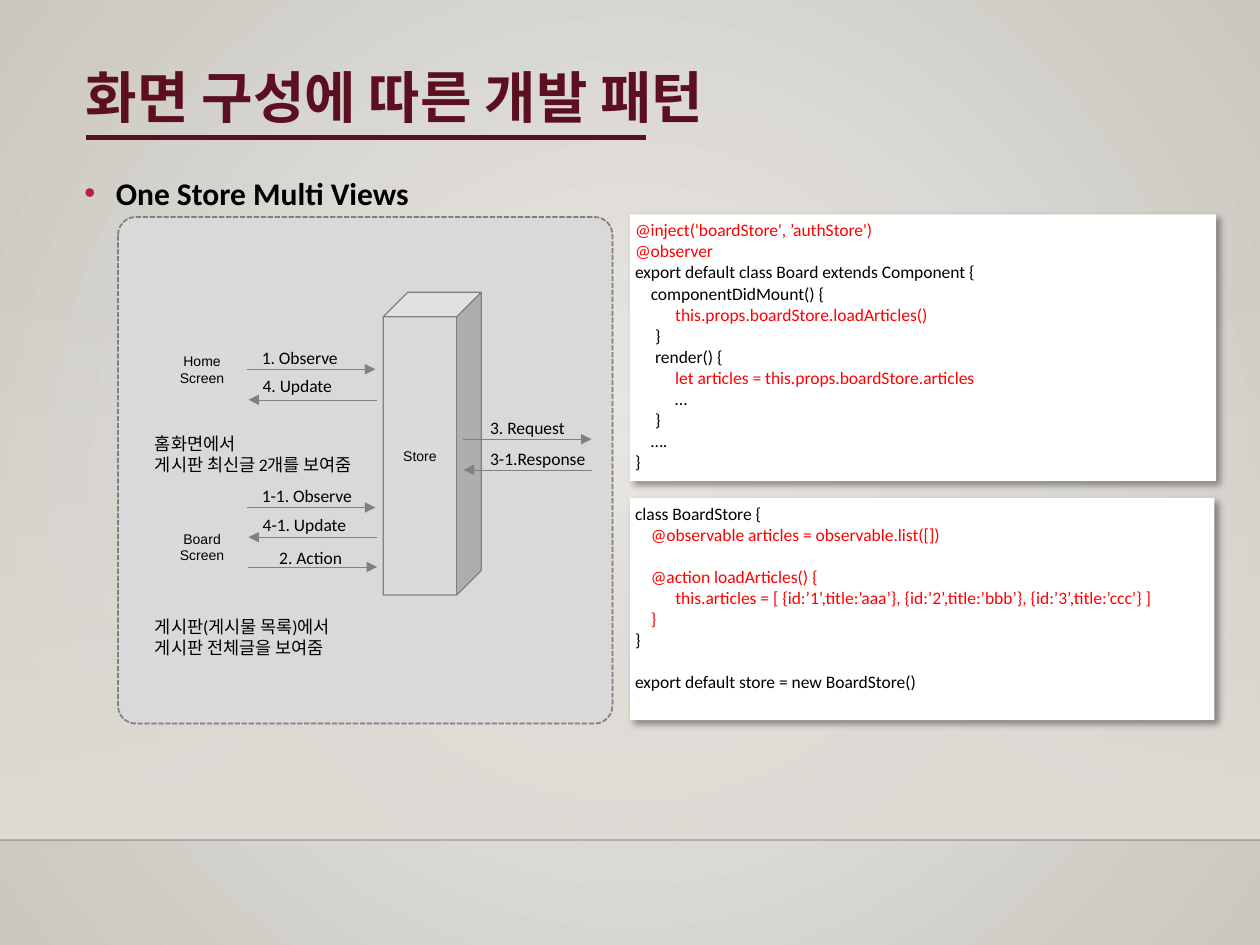
from dataclasses import dataclass
from typing import Any

from lxml import etree
from pptx import Presentation
from pptx.dml.color import RGBColor
from pptx.enum.dml import MSO_LINE
from pptx.enum.shapes import MSO_CONNECTOR, MSO_SHAPE
from pptx.enum.text import MSO_ANCHOR, MSO_AUTO_SIZE, PP_ALIGN
from pptx.oxml.ns import qn
from pptx.util import Pt

STRAIGHT = MSO_CONNECTOR.STRAIGHT
RECTANGLE, ROUNDED, CUBE = MSO_SHAPE.RECTANGLE, MSO_SHAPE.ROUNDED_RECTANGLE, MSO_SHAPE.CUBE
TOP, MIDDLE = MSO_ANCHOR.TOP, MSO_ANCHOR.MIDDLE
LEFT, CENTER = PP_ALIGN.LEFT, PP_ALIGN.CENTER
FIT_SHAPE, NO_FIT = MSO_AUTO_SIZE.SHAPE_TO_FIT_TEXT, MSO_AUTO_SIZE.NONE
DASHED = MSO_LINE.SQUARE_DOT
RIGHT_SIDE = 3

COLORS = {
    "title": "5C0F21", "bullet": "B71E42", "text": "000000", "code": "FF0000",
    "panel": "D9D9D9", "node": "DADADA", "line": "808080", "paper": "FFFFFF",
    "center": "ECEAE7", "edge": "CAC7C1", "wall": "DFDBD5", "floor": "000001",
}
MARGINS = ("margin_left", "margin_top", "margin_right", "margin_bottom")
NO_MARGINS = dict.fromkeys(MARGINS, 0)
NODE_FRAME = {**NO_MARGINS, "vertical_anchor": MIDDLE, "word_wrap": False}
CODE_FRAME = {**dict.fromkeys(MARGINS, Pt(2.9)), "vertical_anchor": TOP, "word_wrap": False}
LABEL_FRAME = {"word_wrap": False, "auto_size": FIT_SHAPE}
TITLE_FRAME = {**NO_MARGINS, "vertical_anchor": MIDDLE, "auto_size": NO_FIT}
BODY_FRAME = {"vertical_anchor": TOP, "auto_size": NO_FIT}


@dataclass
class Box:
    left: float
    top: float
    width: float
    height: float

    def lengths(self) -> tuple:
        return Pt(self.left), Pt(self.top), Pt(self.width), Pt(self.height)


@dataclass
class Label:
    text: str
    box: Box
    space_after: float = 0


@dataclass
class Arrow:
    left: float
    top: float
    rightward: bool
    source: Any = None


@dataclass
class CodeLine:
    text: str
    indent: float = 0
    color: str = "text"
    space_before: float = 0


def rgb(name: str) -> RGBColor:
    return RGBColor.from_string(COLORS[name])


def apply_format(target: Any, values: dict) -> None:
    for name, value in values.items():
        setattr(target, name, value)


def format_font(paragraph: Any, size: float, name: str = "Calibri", color: str = "text", bold: bool = False) -> None:
    apply_format(paragraph.font, {"size": Pt(size), "name": name, "bold": bold})
    paragraph.font.color.rgb = rgb(color)


def add_child(parent: Any, tag: str, **attributes: str) -> Any:
    return etree.SubElement(parent, qn(tag), attributes)


def set_alpha(element: Any, percent: int) -> None:
    add_child(next(element.iter(qn("a:srgbClr"))), "a:alpha", val=str(percent * 1000))


def set_gradient(fill: Any, first: str, last: str) -> None:
    fill.gradient()
    for stop, color, position in zip(fill.gradient_stops, (first, last), (0, 1)):
        stop.color.rgb = rgb(color)
        stop.position = position


def add_block(kind: Any, box: Box, fill: str, line: str = "", width: float = 1) -> Any:
    shape = slide.shapes.add_shape(kind, *box.lengths())
    shape.shadow.inherit = False
    shape.fill.solid()
    shape.fill.fore_color.rgb = rgb(fill)
    if line:
        shape.line.color.rgb = rgb(line)
        shape.line.width = Pt(width)
    else:
        shape.line.fill.background()
    return shape


def add_node(kind: Any, text: str, box: Box, line: str = "") -> Any:
    shape = add_block(kind, box, "node", line, 0.75)
    apply_format(shape.text_frame, NODE_FRAME)
    paragraph = shape.text_frame.paragraphs[0]
    paragraph.text = text
    paragraph.alignment = CENTER
    format_font(paragraph, 8, "Arial")
    return shape


def add_line(start: tuple, end: tuple, color: str, width: float) -> Any:
    connector = slide.shapes.add_connector(STRAIGHT, *(Pt(value) for value in start + end))
    connector.line.color.rgb = rgb(color)
    connector.line.width = Pt(width)
    add_child(connector.element.spPr, "a:effectLst")
    return connector


def add_arrow(arrow: Arrow) -> None:
    ends = [(arrow.left, arrow.top), (arrow.left + 73.5, arrow.top)]
    start, end = ends if arrow.rightward else reversed(ends)
    connector = add_line(start, end, "line", 0.25)
    add_child(connector.element.spPr.find(qn("a:ln")), "a:tailEnd", type="triangle")
    if arrow.source is not None:
        connector.begin_connect(arrow.source, RIGHT_SIDE)


def add_label(label: Label) -> None:
    frame = slide.shapes.add_textbox(*label.box.lengths()).text_frame
    apply_format(frame, LABEL_FRAME)
    frame.text = label.text
    for paragraph in frame.paragraphs:
        paragraph.space_after = Pt(label.space_after)
        format_font(paragraph, 10)


def add_code(box: Box, lines: list[CodeLine]) -> None:
    shape = add_block(RECTANGLE, box, "paper")
    shadow = add_child(shape.element.spPr.find(qn("a:effectLst")), "a:outerShdw", blurRad=str(Pt(4)),
                       dist=str(Pt(3)), dir="2700000", algn="tl", rotWithShape="0")
    add_child(shadow, "a:srgbClr", val=COLORS["text"])
    set_alpha(shadow, 40)
    apply_format(shape.text_frame, CODE_FRAME)
    shape.text_frame.text = "\n".join(line.text for line in lines)
    for paragraph, line in zip(shape.text_frame.paragraphs, lines):
        apply_format(paragraph, {"alignment": LEFT, "space_before": Pt(line.space_before)})
        paragraph._p.get_or_add_pPr().set("marL", str(Pt(line.indent)))
        format_font(paragraph, 10, color=line.color)


presentation = Presentation()
apply_format(presentation, {"slide_width": Pt(720), "slide_height": Pt(540)})
slide = presentation.slides.add_slide(presentation.slide_layouts[1])

set_gradient(slide.background.fill, "center", "edge")
gradient = next(slide.element.iter(qn("a:gradFill")))
gradient.remove(gradient.find(qn("a:lin")))
add_child(add_child(gradient, "a:path", path="circle"), "a:fillToRect", l="50000", t="50000", r="50000", b="50000")

wall = add_block(RECTANGLE, Box(0, 158.5, 720, 321.5), "wall")
set_gradient(wall.fill, "wall", "wall")
wall.fill.gradient_angle = 270
set_alpha(wall.element.spPr, 0)
set_alpha(add_line((0, 480), (720, 480), "floor", 1).element.spPr, 20)
add_line((49, 78.5), (369, 78.5), "title", 2.5)

title, body = slide.placeholders
for placeholder, box, text, frame_format in (
    (title, Box(49, 38, 518, 39), "화면 구성에 따른 개발 패턴", TITLE_FRAME),
    (body, Box(41, 91.5, 636.5, 386.5), "One Store Multi Views", BODY_FRAME),
):
    apply_format(placeholder, dict(zip(("left", "top", "width", "height"), box.lengths())))
    placeholder.text_frame.text = text
    apply_format(placeholder.text_frame, frame_format)
heading, bullet = (placeholder.text_frame.paragraphs[0] for placeholder in (title, body))
apply_format(heading, {"alignment": LEFT, "line_spacing": 0.9})
format_font(heading, 32, "Arial", "title", True)
apply_format(bullet, {"line_spacing": 1.2, "space_before": Pt(10)})
format_font(bullet, 18, bold=True)
properties = bullet._p.get_or_add_pPr()
apply_format(properties, {})
for name, value in {"marL": Pt(18), "indent": Pt(-18)}.items():
    properties.set(name, str(value))
bullet_color = etree.Element(qn("a:buClr"))
add_child(bullet_color, "a:srgbClr", val=COLORS["bullet"])
bullet_character = etree.Element(qn("a:buChar"), char="•")
for element in (bullet_character, bullet_color):
    properties.find(qn("a:spcBef")).addnext(element)

panel = add_block(ROUNDED, Box(67.5, 124, 282.5, 289.5), "panel", "line")
panel.adjustments[0] = 0.036
panel.line.dash_style = DASHED
home, board = (add_node(ROUNDED, text, Box(90, top, 51, 63))
               for text, top in (("Home\vScreen", 179.5), ("Board\vScreen", 281)))
for screen in (home, board):
    screen.adjustments[0] = 0.064
add_node(CUBE, "Store", Box(219, 167, 56, 173), "line")

for arrow in (
    Arrow(141, 211, True, home), Arrow(142, 228.5, False),
    Arrow(141, 290, True), Arrow(142, 307, False), Arrow(142, 324, True),
    Arrow(264.5, 251, True), Arrow(265, 268.5, False),
):
    add_arrow(arrow)

for label in (
    Label("1. Observe", Box(142.5, 194.5, 60, 19.5)),
    Label("4. Update", Box(143, 211, 55, 19.5)),
    Label("1-1. Observe", Box(142.5, 273.5, 68.5, 19.5)),
    Label("4-1. Update", Box(143, 290, 62.5, 19.5)),
    Label("2. Action", Box(152.5, 309, 52, 19.5)),
    Label("3. Request\n3-1.Response", Box(273, 234.5, 69, 55.5), 6),
    Label("홈화면에서 \v게시판 최신글 2개를 보여줌", Box(81.5, 244, 139, 31.5)),
    Label("게시판(게시물 목록)에서 \v게시판 전체글을 보여줌", Box(81.5, 348.5, 127.5, 31.5)),
):
    add_label(label)

add_code(Box(360, 122.5, 335, 152.5), [
    CodeLine("@inject('boardStore', ’authStore')", color="code"),
    CodeLine("@observer", color="code"),
    CodeLine("export default class Board extends Component {"),
    CodeLine("componentDidMount() {", 9),
    CodeLine("this.props.boardStore.loadArticles()", 23, "code"),
    CodeLine("}", 11.5),
    CodeLine("render() {", 11.5),
    CodeLine("let articles = this.props.boardStore.articles", 23, "code"),
    CodeLine("…", 23),
    CodeLine("}", 11.5),
    CodeLine("….", 9),
    CodeLine("}"),
])
add_code(Box(360, 284.5, 334, 127), [
    CodeLine("class BoardStore {"),
    CodeLine("@observable articles = observable.list([])", 9, "code"),
    CodeLine("@action loadArticles() {", 9, "code", 12),
    CodeLine("this.articles = [ {id:’1’,title:’aaa’}, {id:’2’,title:’bbb’}, {id:’3’,title:’ccc’} ]", 23, "code"),
    CodeLine("}", 9, "code"),
    CodeLine("}"),
    CodeLine("export default store = new BoardStore()", space_before=12),
])

presentation.save("out.pptx")
